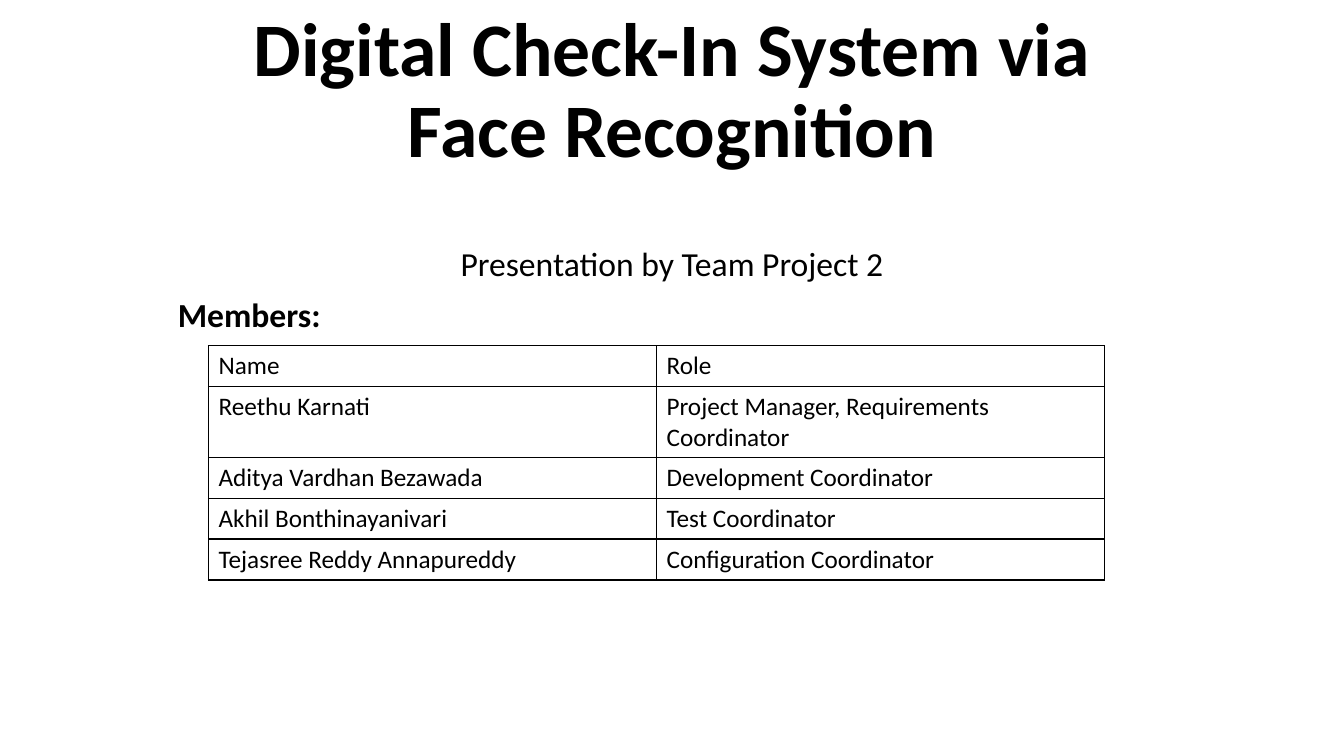
import pptx
import pptx.dml.color
import pptx.enum.text
import pptx.oxml
import pptx.oxml.ns
import pptx.util

Pt = pptx.util.Pt
ALIGN = pptx.enum.text.PP_ALIGN
ANCHOR = pptx.enum.text.MSO_ANCHOR
COLORS = {"ink": "000000", "paper": "FFFFFF"}
FONT = "Calibri"
MEMBERS = [
    ("Name", "Role"),
    ("Reethu Karnati", "Project Manager, Requirements Coordinator"),
    ("Aditya Vardhan Bezawada", "Development Coordinator"),
    ("Akhil Bonthinayanivari", "Test Coordinator"),
    ("Tejasree Reddy Annapureddy", "Configuration Coordinator"),
]


def rgb(name):
    """Return the named palette colour."""
    return pptx.dml.color.RGBColor.from_string(COLORS[name])


def write(paragraph, text, size=18, bold=False, align=ALIGN.LEFT, spacing=1.0, before=0):
    """Put formatted text into a paragraph."""
    paragraph.alignment = align
    paragraph.line_spacing = spacing
    paragraph.space_before = Pt(before)
    run = paragraph.add_run()
    run.text = text
    run.font.name = FONT
    run.font.size = Pt(size)
    run.font.bold = bold
    run.font.color.rgb = rgb("ink")


def add_frame(slide, left, top, width, height, anchor=ANCHOR.TOP):
    """Add a wrapping text box and return its text frame."""
    box = slide.shapes.add_textbox(Pt(left), Pt(top), Pt(width), Pt(height))
    frame = box.text_frame
    frame.word_wrap = True
    frame.vertical_anchor = anchor
    return frame


def add_title(slide, left, top, width, height):
    """Add the project title, resting on the bottom of its box."""
    title = add_frame(slide, left, top, width, height, ANCHOR.BOTTOM)
    write(title.paragraphs[0], "Digital Check-In System via Face Recognition",
          size=54, bold=True, align=ALIGN.CENTER, spacing=0.9)


def add_introduction(slide, left, top, width, height):
    """Add the team line and the heading of the member list."""
    introduction = add_frame(slide, left, top, width, height)
    write(introduction.paragraphs[0], "Presentation by Team Project 2",
          size=24, align=ALIGN.CENTER, spacing=0.9, before=10)
    write(introduction.add_paragraph(), "Members:",
          size=24, bold=True, spacing=0.9, before=10)


def outline_cell(cell):
    """Draw a thin line on all four sides of a cell."""
    properties = cell._tc.get_or_add_tcPr()
    for position, side in enumerate(("lnL", "lnR", "lnT", "lnB")):
        border = pptx.oxml.parse_xml(
            f'<a:{side} {pptx.oxml.ns.nsdecls("a")} w="{Pt(1)}"><a:solidFill>'
            f'<a:srgbClr val="{COLORS["ink"]}"/></a:solidFill></a:{side}>')
        properties.insert(position, border)


def add_members(slide, left, top, width, height):
    """Add the table of members and roles with equal columns and rows."""
    rows, columns = len(MEMBERS), len(MEMBERS[0])
    members = slide.shapes.add_table(
        rows, columns, Pt(left), Pt(top), Pt(width), Pt(height)).table
    members.first_row = members.horz_banding = False
    for row, member in enumerate(MEMBERS):
        for column, text in enumerate(member):
            cell = members.cell(row, column)
            cell.fill.background()
            outline_cell(cell)
            write(cell.text_frame.paragraphs[0], text)


def main():
    """Build the opening slide and save it."""
    deck = pptx.Presentation()
    deck.slide_width, deck.slide_height = Pt(960), Pt(540)
    slide = deck.slides.add_slide(deck.slide_layouts[6])
    slide.background.fill.solid()
    slide.background.fill.fore_color.rgb = rgb("paper")
    add_title(slide, 120, 18.5, 720, 109.5)
    add_introduction(slide, 120, 173.5, 720, 240.5)
    add_members(slide, 149, 247, 640, 146)
    deck.save("out.pptx")


if __name__ == "__main__":
    main()
